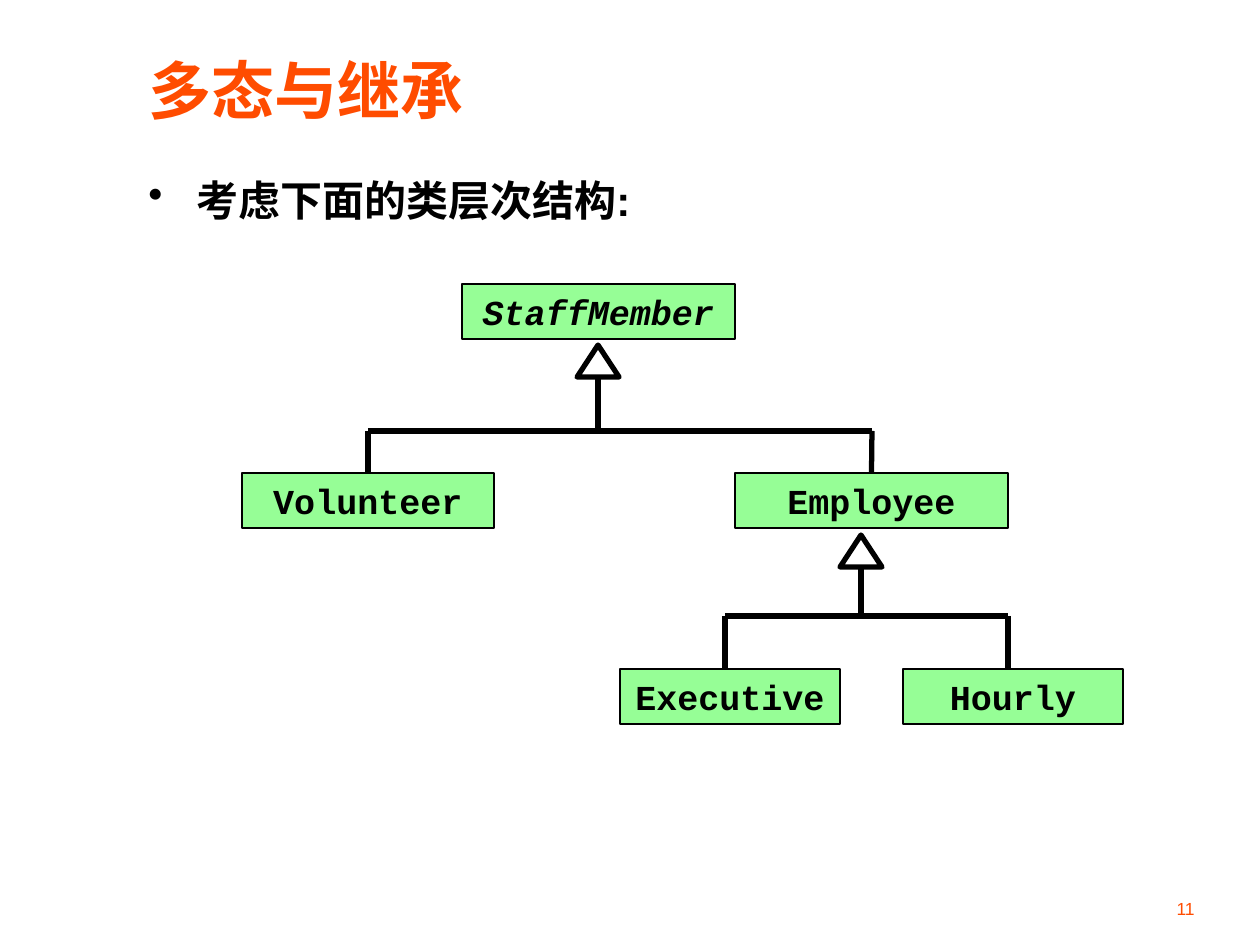
import pptx
import pptx.util
import pptx.dml.color
import pptx.enum.shapes
import pptx.enum.text
import pptx.oxml.ns
import lxml.etree

PX = 914400 / 126
ORANGE = pptx.dml.color.RGBColor(0xFF, 0x4C, 0x00)
BLACK = pptx.dml.color.RGBColor(0x00, 0x00, 0x00)
GREEN = pptx.dml.color.RGBColor(0x96, 0xFE, 0x96)
ALIGN = pptx.enum.text.PP_ALIGN
ANCHOR = pptx.enum.text.MSO_ANCHOR
SHAPE = pptx.enum.shapes.MSO_SHAPE
qn = pptx.oxml.ns.qn


def emu(*lengths):
    return [pptx.util.Emu(round(length * PX)) for length in lengths]


def write(shape, text, size, font, color, align, anchor, bold=True, italic=False):
    frame = shape.text_frame
    frame.word_wrap = True
    frame.vertical_anchor = anchor
    paragraph = frame.paragraphs[0]
    paragraph.alignment = align
    run = paragraph.add_run()
    run.text = text
    run.font.size = pptx.util.Pt(size)
    run.font.name = font
    run.font.bold = bold
    run.font.italic = italic
    run.font.color.rgb = color
    return paragraph


presentation = pptx.Presentation()
presentation.slide_width, presentation.slide_height = emu(1260, 945)
slide = presentation.slides.add_slide(presentation.slide_layouts[6])
shapes = slide.shapes

title = shapes.add_textbox(*emu(136, 42, 1092, 94))
write(title, "多态与继承", 36, "Arial", ORANGE, ALIGN.LEFT, ANCHOR.MIDDLE)

body = shapes.add_textbox(*emu(136, 168, 1092, 683))
bullet_item = write(body, "考虑下面的类层次结构:", 24, "Arial", BLACK, ALIGN.LEFT, ANCHOR.TOP)
bullet_item.space_before = pptx.util.Pt(6)
properties = bullet_item._p.get_or_add_pPr()
indent = emu(48)[0]
properties.set("marL", str(indent))
properties.set("indent", str(-indent))
bullet = lxml.etree.SubElement(properties, qn("a:buChar"))
bullet.set("char", "•")

classes = [
    ("StaffMember", 462, 284, 273, True),
    ("Volunteer", 242, 473, 252, False),
    ("Employee", 735, 473, 273, False),
    ("Executive", 620, 669, 220, False),
    ("Hourly", 903, 669, 220, False),
]
boxes = {}
for name, left, top, width, abstract in classes:
    box = shapes.add_shape(SHAPE.RECTANGLE, *emu(left, top, width, 55))
    box.shadow.inherit = False
    box.fill.solid()
    box.fill.fore_color.rgb = GREEN
    box.line.color.rgb = BLACK
    box.line.width = pptx.util.Pt(1)
    write(box, name, 20, "Courier New", BLACK, ALIGN.CENTER, ANCHOR.MIDDLE, italic=abstract)
    boxes[name] = box

for left, top in [(577, 345), (840, 535)]:
    triangle = shapes.add_shape(SHAPE.ISOSCELES_TRIANGLE, *emu(left, top, 42, 32))
    triangle.shadow.inherit = False
    triangle.fill.background()
    triangle.line.color.rgb = BLACK
    triangle.line.width = pptx.util.Pt(3)

lines = [
    (598, 431, 598, 377, None),
    (368, 431, 872, 431, None),
    (368, 431, 368, 473, "Volunteer"),
    (872, 431, 872, 473, "Employee"),
    (861, 619, 861, 567, None),
    (725, 616, 1008, 616, None),
    (725, 616, 725, 669, None),
    (1008, 616, 1008, 669, None),
]
for x1, y1, x2, y2, child in lines:
    connector = shapes.add_connector(
        pptx.enum.shapes.MSO_CONNECTOR.STRAIGHT, *emu(x1, y1, x2, y2)
    )
    connector.line.color.rgb = BLACK
    connector.line.width = pptx.util.Pt(3)
    lxml.etree.SubElement(connector._element.spPr, qn("a:effectLst"))
    if child:
        connector.end_connect(boxes[child], 0)

page_number = shapes.add_textbox(*emu(945, 872, 262, 53))
write(page_number, "11", 10, "Arial", ORANGE, ALIGN.RIGHT, ANCHOR.BOTTOM, bold=False)

presentation.save("out.pptx")
